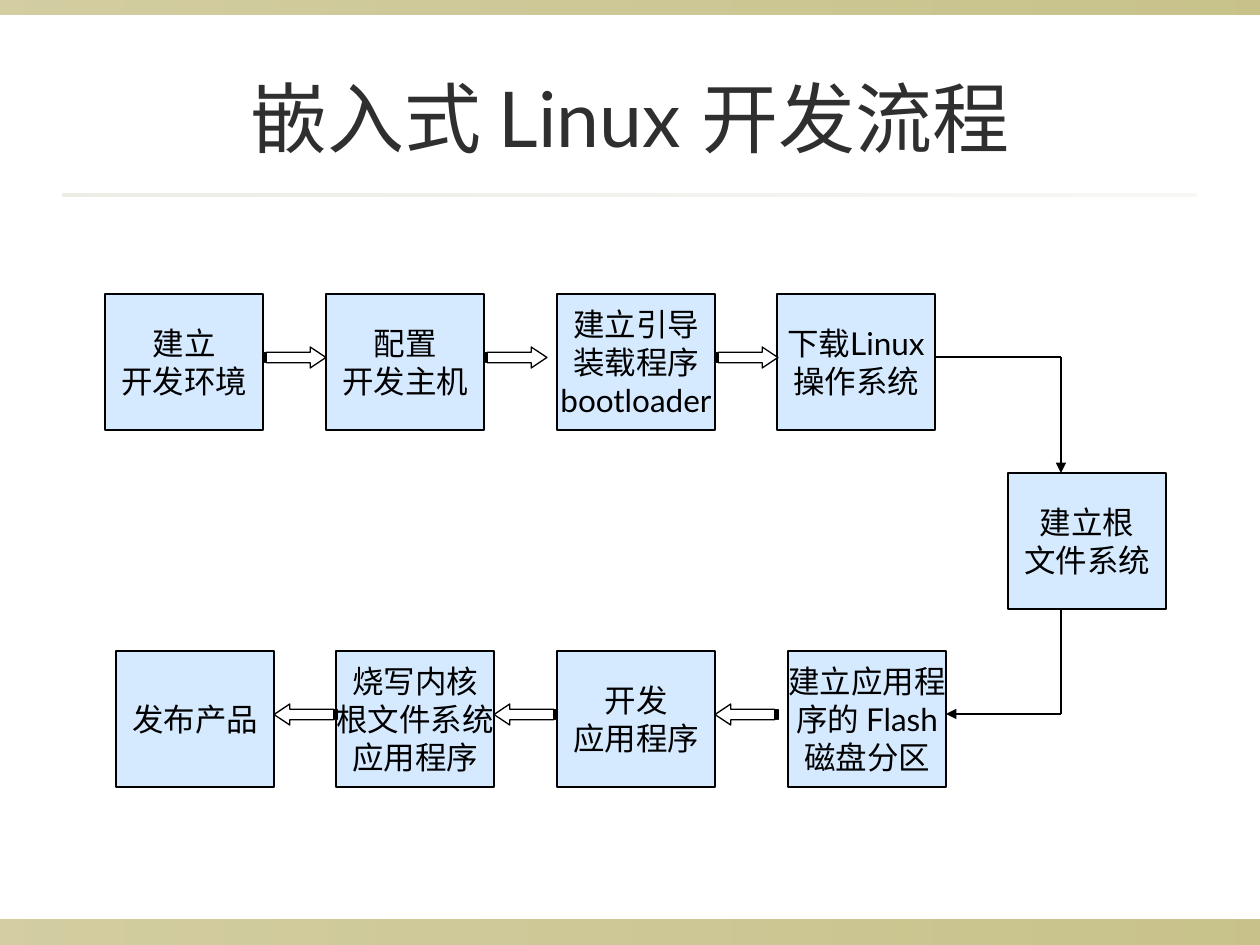
"""Build the embedded Linux development flow slide."""
from lxml import etree
from pptx import Presentation
from pptx import util as u
from pptx.dml.color import RGBColor
from pptx.enum import shapes, text
from pptx.oxml.ns import qn

PX = u.Inches(1) / 126
COLORS = {"band": "918415", "rule": "DCD9CC", "title": "2F2F2F",
          "step": "99CCFF", "ink": "000000", "arrow": "FFFFFF"}
COLORS = {name: RGBColor.from_string(value) for name, value in COLORS.items()}
STEP_W, STEP_H = 158, 136
ARROW_W, ARROW_H = 63, 21


def add_block(kind, left, top, width, height, fill, alphas):
    block = page.shapes.add_shape(kind, *[round(v * PX) for v in (left, top, width, height)])
    block.shadow.inherit = False
    if len(alphas) == 2:
        block.fill.gradient()
        block.fill.gradient_angle = 0
        for stop, position in zip(block.fill.gradient_stops, (0, 1)):
            stop.position = position
            stop.color.rgb = COLORS[fill]
        block.line.fill.background()
    else:
        block.fill.solid()
        block.fill.fore_color.rgb = COLORS[fill]
        block.line.color.rgb = COLORS["ink"]
        block.line.width = u.Pt(0.75)
    for color, alpha in zip(block._element.spPr.iter(qn("a:srgbClr")), alphas):
        if alpha < 100:
            etree.SubElement(color, qn("a:alpha"), val=str(alpha * 1000))
    return block


def write_lines(box, lines, size, color):
    frame = box.text_frame
    frame.vertical_anchor = text.MSO_ANCHOR.MIDDLE
    frame.text = "\n".join(lines)
    for para in frame.paragraphs:
        para.alignment = text.PP_ALIGN.CENTER
        para.font.size = u.Pt(size)
        para.font.name = "Lato"
        para.font.color.rgb = COLORS[color]


deck = Presentation()
deck.slide_width, deck.slide_height = u.Inches(10), u.Inches(7.5)
page = deck.slides.add_slide(deck.slide_layouts[6])

RECT = shapes.MSO_SHAPE.RECTANGLE
add_block(RECT, 0, 920, 1260, 25, "band", (40, 50))
add_block(RECT, 0, 0, 1260, 15, "band", (40, 50))
add_block(RECT, 63, 194, 1134, 3, "rule", (50, 20))

title = page.shapes.add_textbox(*[round(v * PX) for v in (63, 38, 1134, 157)])
title.text_frame.word_wrap = True
write_lines(title, ["嵌入式 Linux 开发流程"], 44, "title")

steps = [
    (105, 294, ["建立", "开发环境"]),
    (326, 294, ["配置", "开发主机"]),
    (557, 294, ["建立引导", "装载程序", "bootloader"]),
    (777, 294, ["下载Linux", "操作系统"]),
    (1008, 473, ["建立根", "文件系统"]),
    (788, 651, ["建立应用程", "序的 Flash", "磁盘分区"]),
    (557, 651, ["开发", "应用程序"]),
    (336, 651, ["烧写内核", "根文件系统", "应用程序"]),
    (116, 651, ["发布产品"]),
]
for left, top, lines in steps:
    step = add_block(RECT, left, top, STEP_W, STEP_H, "step", (40,))
    step.text_frame.word_wrap = False
    write_lines(step, lines, 18, "ink")

arrows = [(left + STEP_W, 347, 0) for left, top, lines in steps[:3]]
arrows += [(left + STEP_W, 704, 180) for left, top, lines in steps[6:]]
for left, top, rotation in arrows:
    arrow = add_block(shapes.MSO_SHAPE.STRIPED_RIGHT_ARROW, left, top,
                      ARROW_W, ARROW_H, "arrow", (100,))
    arrow.adjustments[1] = 0.75
    arrow.rotation = rotation

links = [
    (935, 357, 1061, 357, False),
    (1061, 357, 1061, 473, True),
    (1061, 609, 1061, 714, False),
    (1061, 714, 946, 714, True),
]
for *ends, has_head in links:
    link = page.shapes.add_connector(shapes.MSO_CONNECTOR.STRAIGHT,
                                     *[round(v * PX) for v in ends])
    link.line.color.rgb = COLORS["ink"]
    link.line.width = u.Pt(0.75)
    if has_head:
        etree.SubElement(link.line._get_or_add_ln(), qn("a:tailEnd"), type="triangle")
    etree.SubElement(link._element.spPr, qn("a:effectLst"))

deck.save("out.pptx")
